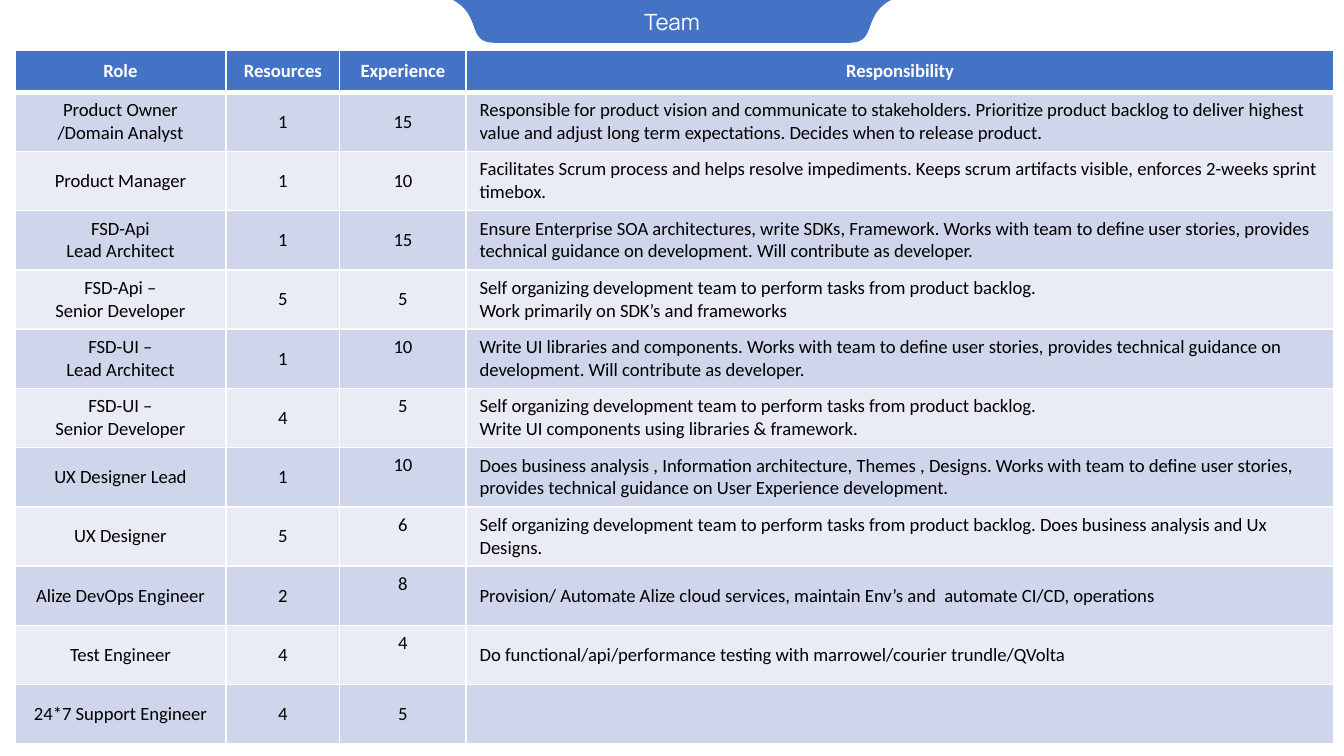
from dataclasses import dataclass

from lxml.etree import SubElement
from pptx import Presentation
from pptx.dml.color import RGBColor
from pptx.enum.text import MSO_ANCHOR, MSO_AUTO_SIZE, PP_ALIGN
from pptx.oxml.ns import qn
from pptx.util import Cm, Pt


@dataclass(frozen=True)
class Theme:
    accent: str = "4472C4"
    band_dark: str = "CFD5EA"
    band_light: str = "E9EBF5"
    white: str = "FFFFFF"
    black: str = "000000"
    title_font: str = "Manrope"
    body_font: str = "Calibri"
    title_size: int = 12
    body_size: int = 10
    rule: int = 1
    header_rule: int = 3


@dataclass(frozen=True)
class Member:
    role: str
    resources: int
    experience: int
    duty: str = ""
    raised: bool = False  # experience sits at the top of its cell


THEME = Theme()
HEADINGS = ("Role", "Resources", "Experience", "Responsibility")
COLUMN_WIDTHS = (3.99, 2.15, 2.39, 16.4)
HEADER_HEIGHT, ROW_HEIGHT = 0.8, 1.12
SELF_ORGANIZING = "Self organizing development team to perform tasks from product backlog."
TEAM = (
    Member("Product Owner /Domain Analyst", 1, 15,
           "Responsible for product vision and communicate to stakeholders. Prioritize product "
           "backlog to deliver highest value and adjust long term expectations. Decides when to "
           "release product."),
    Member("Product Manager", 1, 10,
           "Facilitates Scrum process and helps resolve impediments. Keeps scrum artifacts "
           "visible, enforces 2-weeks sprint timebox."),
    Member("FSD-Api\nLead Architect", 1, 15,
           "Ensure Enterprise SOA architectures, write SDKs, Framework. Works with team to define "
           "user stories, provides technical guidance on development. Will contribute as "
           "developer."),
    Member("FSD-Api –\nSenior Developer", 5, 5,
           f"{SELF_ORGANIZING}\nWork primarily on SDK’s and frameworks"),
    Member("FSD-UI –\nLead Architect", 1, 10,
           "Write UI libraries and components. Works with team to define user stories, provides "
           "technical guidance on development. Will contribute as developer.", raised=True),
    Member("FSD-UI –\nSenior Developer", 4, 5,
           f"{SELF_ORGANIZING}\nWrite UI components using libraries & framework.", raised=True),
    Member("UX Designer Lead", 1, 10,
           "Does business analysis , Information architecture, Themes , Designs. Works with team "
           "to define user stories, provides technical guidance on User Experience development.",
           raised=True),
    Member("UX Designer", 5, 6,
           f"{SELF_ORGANIZING} Does business analysis and Ux Designs.", raised=True),
    Member("Alize DevOps Engineer", 2, 8,
           "Provision/ Automate Alize cloud services, maintain Env’s and  automate CI/CD, "
           "operations", raised=True),
    Member("Test Engineer", 4, 4,
           "Do functional/api/performance testing with marrowel/courier trundle/QVolta",
           raised=True),
    Member("24*7 Support Engineer", 4, 5),
)


def rgb(value: str) -> RGBColor:
    return RGBColor.from_string(value)


def write_text(tf, text: str, *, font: str = THEME.body_font, size: int = THEME.body_size,
               color: str = THEME.black, bold: bool = False, align=PP_ALIGN.CENTER) -> None:
    """Fill a text frame, one paragraph for each line."""
    tf.text = text
    for p in tf.paragraphs:
        p.alignment = align
        p.font.size = Pt(size)
        for r in p.runs:
            r.font.name, r.font.size, r.font.bold = font, Pt(size), bold
            r.font.color.rgb = rgb(color)


def set_borders(cell, bottom: int) -> None:
    tcPr = cell._tc.get_or_add_tcPr()
    for side in ("L", "R", "T", "B"):
        width = bottom if side == "B" else THEME.rule
        ln = SubElement(tcPr, qn(f"a:ln{side}"), w=str(Pt(width)))
        SubElement(SubElement(ln, qn("a:solidFill")), qn("a:srgbClr"), val=THEME.white)


def style_cell(cell, text: str, *, fill: str, bottom: int = THEME.rule,
               anchor=MSO_ANCHOR.MIDDLE, **text_format) -> None:
    set_borders(cell, bottom)
    cell.fill.solid()
    cell.fill.fore_color.rgb = rgb(fill)
    cell.vertical_anchor = anchor
    write_text(cell.text_frame, text, **text_format)


def bezier(p0, p1, p2, p3, steps: int = 24) -> list[tuple[float, float]]:
    """Points along a cubic curve, without its start."""
    points = []
    for i in range(1, steps + 1):
        t = i / steps
        u = 1 - t
        weights = (u ** 3, 3 * u * u * t, 3 * u * t * t, t ** 3)
        points.append(tuple(sum(w * p[axis] for w, p in zip(weights, (p0, p1, p2, p3)))
                            for axis in (0, 1)))
    return points


def add_title_tab(slide) -> None:
    """Curved tab hanging from the top edge, symmetric about the slide's middle."""
    middle, depth = 12.7, 0.81
    right = bezier((16.84, 0), (16.28, 0.3), (16.59, depth), (16.05, depth))
    left = [(2 * middle - x, y) for x, y in reversed(right)]
    outline = [(Cm(x), Cm(y)) for x, y in right + left + [(2 * middle - 16.84, 0)]]
    builder = slide.shapes.build_freeform(Cm(16.84), 0)
    builder.add_line_segments(outline, close=True)
    sp = builder.convert_to_shape()
    sp.shadow.inherit = False
    sp.fill.solid()
    sp.fill.fore_color.rgb = rgb(THEME.accent)
    sp.line.fill.background()


def add_title(slide, text: str) -> None:
    sp = slide.shapes.title
    sp.left, sp.top, sp.width, sp.height = Cm(9.7), Cm(0.15), Cm(6), Cm(0.51)
    tf = sp.text_frame
    tf.margin_left = tf.margin_right = tf.margin_top = tf.margin_bottom = 0
    tf.word_wrap = True
    tf.auto_size = MSO_AUTO_SIZE.NONE
    tf.vertical_anchor = MSO_ANCHOR.MIDDLE
    write_text(tf, text, font=THEME.title_font, size=THEME.title_size, color=THEME.white)
    # Bring the title in front of the tab
    slide.shapes._spTree.append(sp._element)


def add_team_table(slide) -> None:
    height = HEADER_HEIGHT + ROW_HEIGHT * len(TEAM)
    table = slide.shapes.add_table(len(TEAM) + 1, len(HEADINGS), Cm(0.28), Cm(0.94),
                                   Cm(sum(COLUMN_WIDTHS)), Cm(height)).table
    for column, width in zip(table.columns, COLUMN_WIDTHS):
        column.width = Cm(width)
    for i, row in enumerate(table.rows):
        row.height = Cm(ROW_HEIGHT if i else HEADER_HEIGHT)

    # Header row
    for cell, heading in zip(table.rows[0].cells, HEADINGS):
        style_cell(cell, heading, fill=THEME.accent, bottom=THEME.header_rule,
                   color=THEME.white, bold=True)

    # Banded member rows
    for i, member in enumerate(TEAM, start=1):
        fill = THEME.band_dark if i % 2 else THEME.band_light
        role, resources, experience, duty = table.rows[i].cells
        style_cell(role, member.role, fill=fill)
        style_cell(resources, str(member.resources), fill=fill)
        style_cell(experience, str(member.experience), fill=fill,
                   anchor=MSO_ANCHOR.TOP if member.raised else MSO_ANCHOR.MIDDLE)
        style_cell(duty, member.duty, fill=fill, align=PP_ALIGN.LEFT)


def main() -> None:
    prs = Presentation()
    prs.slide_width, prs.slide_height = Cm(25.4), Cm(14.29)
    slide = prs.slides.add_slide(prs.slide_layouts[5])
    add_title_tab(slide)
    add_title(slide, "Team")
    add_team_table(slide)
    prs.save("out.pptx")


if __name__ == "__main__":
    main()
